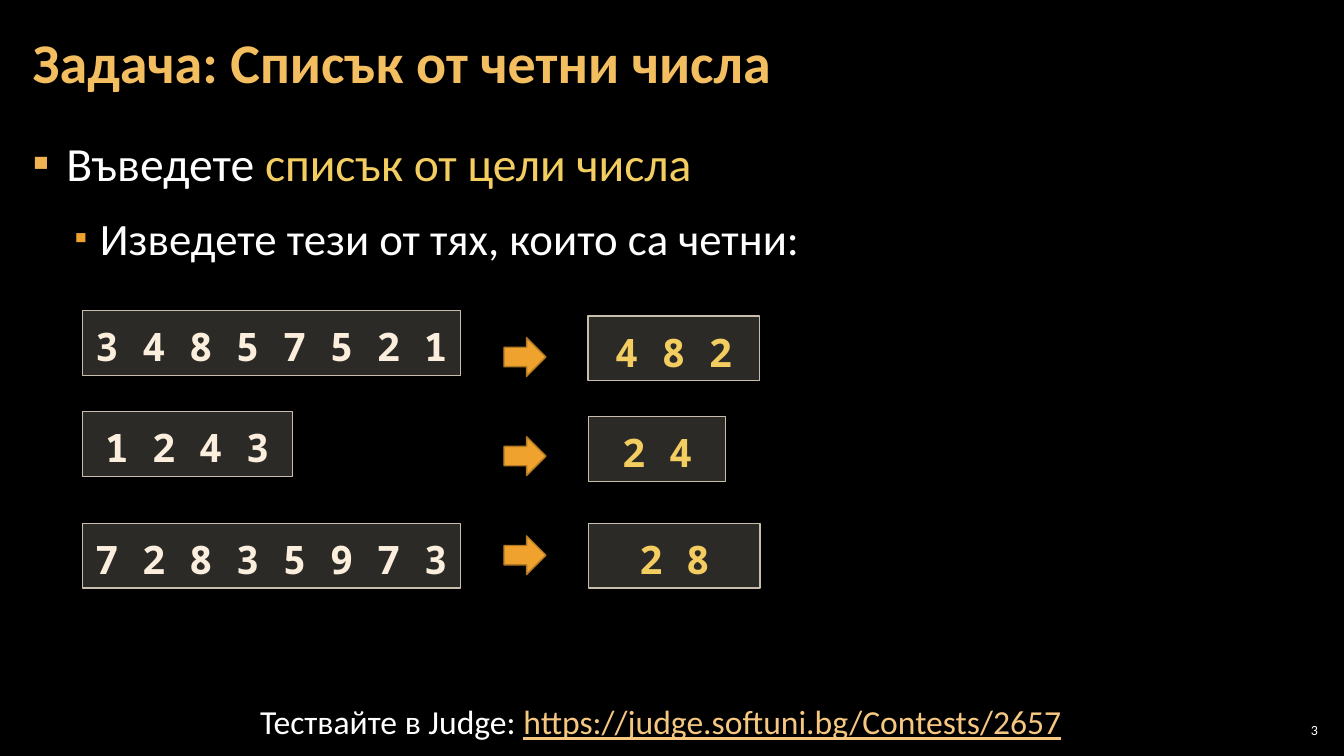
from typing import NamedTuple

from lxml import etree
from pptx import Presentation
from pptx.dml.color import RGBColor
from pptx.enum.shapes import MSO_SHAPE
from pptx.enum.text import MSO_ANCHOR, PP_ALIGN
from pptx.oxml.ns import qn
from pptx.util import Emu, Pt

RECTANGLE = MSO_SHAPE.RECTANGLE
RIGHT_ARROW = MSO_SHAPE.RIGHT_ARROW
TOP, MIDDLE = MSO_ANCHOR.TOP, MSO_ANCHOR.MIDDLE
LEFT, CENTER, RIGHT = PP_ALIGN.LEFT, PP_ALIGN.CENTER, PP_ALIGN.RIGHT

# The slide is a grid of 16 columns by 9 rows of square cells.
CELL = 762000
COLUMNS, ROWS = 16, 9
MARGIN, CONTENT_WIDTH = 0.25, 15.49

COLORS = {
    "background": "000000",
    "text": "FFFFFF",
    "title": "F3BE60",
    "highlight": "F3CD60",
    "input": "FBEEDC",
    "link": "F6C781",
    "box": "D9D5C7",
    "box_line": "C7BFAC",
    "arrow": "F0A22E",
    "arrow_line": "B27822",
    "bullet": "F2B254",
    "sub_bullet": "F0A22E",
}
BODY_FONT, NUMBER_FONT = "Calibri", "Noto Sans Mono"
WIDE_INSETS = (0.14, 0.05)
USUAL_INSETS = (0.12, 0.06)
TIGHT_INSETS = (0.05, 0.05)


class Area(NamedTuple):
    left: float
    top: float
    width: float
    height: float


class Run(NamedTuple):
    text: str
    color: str
    size: int
    font: str = BODY_FONT
    bold: bool = False
    underline: bool = False


class Bullet(NamedTuple):
    color: str
    percent: int
    indent: float
    hanging: float


class Line(NamedTuple):
    runs: list[Run]
    format: dict
    bullet: Bullet | None = None


class Example(NamedTuple):
    numbers: str
    numbers_area: Area
    evens: str
    evens_area: Area


BODY = [
    Line(
        [Run("Въведете ", "text", 34), Run("списък от цели числа", "highlight", 34)],
        {"line_spacing": 1.05, "space_after": Pt(6)},
        Bullet("bullet", 100, 0.4, 0.4),
    ),
    Line(
        [Run("Изведете тези от тях, които са четни:", "text", 32)],
        {"level": 1, "line_spacing": 1.05, "space_before": Pt(6), "space_after": Pt(6)},
        Bullet("sub_bullet", 80, 0.8, 0.3),
    ),
]
BOX_HEIGHT = 0.77
EXAMPLES = [
    Example("3 4 8 5 7 5 2 1", Area(0.98, 3.7, 4.5, BOX_HEIGHT),
            "4 8 2", Area(7, 3.76, 2.04, BOX_HEIGHT)),
    Example("1 2 4 3", Area(0.98, 4.9, 2.5, BOX_HEIGHT),
            "2 4", Area(7.01, 4.96, 1.63, BOX_HEIGHT)),
    Example("7 2 8 3 5 9 7 3", Area(0.98, 6.23, 4.5, BOX_HEIGHT),
            "2 8", Area(7.01, 6.23, 2.04, BOX_HEIGHT)),
]
FIRST_ARROW = Area(6, 4.02, 0.5, 0.46)
ARROW_PITCH = 1.18


def cells(count: float) -> Emu:
    return Emu(round(count * CELL))


def place(area: Area) -> list[Emu]:
    return [cells(length) for length in area]


def rgb(name: str) -> RGBColor:
    return RGBColor.from_string(COLORS[name])


def add_bullet(paragraph, bullet: Bullet) -> None:
    properties = paragraph._p.get_or_add_pPr()
    properties.set("marL", str(cells(bullet.indent)))
    properties.set("indent", str(-cells(bullet.hanging)))
    color = etree.SubElement(properties, qn("a:buClr"))
    etree.SubElement(color, qn("a:srgbClr"), val=COLORS[bullet.color])
    etree.SubElement(properties, qn("a:buSzPct"), val=str(bullet.percent * 1000))
    etree.SubElement(properties, qn("a:buFont"), typeface=BODY_FONT)
    etree.SubElement(properties, qn("a:buChar"), char="▪")


def write(shape, lines: list[Line], insets: tuple[float, float], anchor=TOP) -> None:
    frame = shape.text_frame
    across, down = map(cells, insets)
    frame_format = {
        "word_wrap": True, "vertical_anchor": anchor,
        "margin_left": across, "margin_right": across,
        "margin_top": down, "margin_bottom": down,
    }
    for name, value in frame_format.items():
        setattr(frame, name, value)
    for index, line in enumerate(lines):
        paragraph = frame.add_paragraph() if index else frame.paragraphs[0]
        for name, value in line.format.items():
            setattr(paragraph, name, value)
        if line.bullet:
            add_bullet(paragraph, line.bullet)
        for part in line.runs:
            run = paragraph.add_run()
            run.text = part.text
            run_format = {"name": part.font, "size": Pt(part.size),
                          "bold": part.bold, "underline": part.underline}
            for name, value in run_format.items():
                setattr(run.font, name, value)
            run.font.color.rgb = rgb(part.color)


def add_text(slide, area: Area, lines: list[Line], insets: tuple[float, float], anchor=TOP) -> None:
    write(slide.shapes.add_textbox(*place(area)), lines, insets, anchor)


def add_figure(slide, kind, area: Area, fill: str, outline: str):
    figure = slide.shapes.add_shape(kind, *place(area))
    figure.shadow.inherit = False
    figure.fill.solid()
    figure.fill.fore_color.rgb = rgb(fill)
    figure.line.color.rgb = rgb(outline)
    figure.line.width = Pt(1)
    return figure


def add_number_box(slide, area: Area, numbers: str, color: str) -> None:
    box = add_figure(slide, RECTANGLE, area, "box", "box_line")
    fill_color = box._element.spPr.find(qn("a:solidFill"))[0]
    etree.SubElement(fill_color, qn("a:alpha"), val="20000")
    run = Run(numbers, color, 28, NUMBER_FONT, bold=True)
    write(box, [Line([run], {"alignment": CENTER, "line_spacing": 1.15})], USUAL_INSETS)


def main() -> None:
    deck = Presentation()
    deck.slide_width, deck.slide_height = cells(COLUMNS), cells(ROWS)
    slide = deck.slides.add_slide(deck.slide_layouts[6])
    slide.background.fill.solid()
    slide.background.fill.fore_color.rgb = rgb("background")

    add_text(slide, Area(MARGIN, 1.51, CONTENT_WIDTH, 7.31), BODY, WIDE_INSETS)
    title = Run("Задача: Списък от четни числа", "title", 40, bold=True)
    add_text(slide, Area(MARGIN, 0.05, CONTENT_WIDTH, 1.45),
             [Line([title], {"line_spacing": 0.9})], WIDE_INSETS, MIDDLE)

    for row, example in enumerate(EXAMPLES):
        add_number_box(slide, example.numbers_area, example.numbers, "input")
        arrow_area = FIRST_ARROW._replace(top=FIRST_ARROW.top + row * ARROW_PITCH)
        add_figure(slide, RIGHT_ARROW, arrow_area, "arrow", "arrow_line")
        add_number_box(slide, example.evens_area, example.evens, "highlight")

    add_text(slide, Area(15.18, 8.57, 0.56, 0.25),
             [Line([Run("3", "text", 10)], {"alignment": RIGHT})], TIGHT_INSETS, MIDDLE)
    judge = [Run("Тествайте в Judge: ", "text", 24),
             Run("https://judge.softuni.bg/Contests/2657", "link", 24, underline=True)]
    add_text(slide, Area(2.98, 8.29, 10.03, 0.6),
             [Line(judge, {"alignment": LEFT})], USUAL_INSETS)
    deck.save("out.pptx")


if __name__ == "__main__":
    main()
